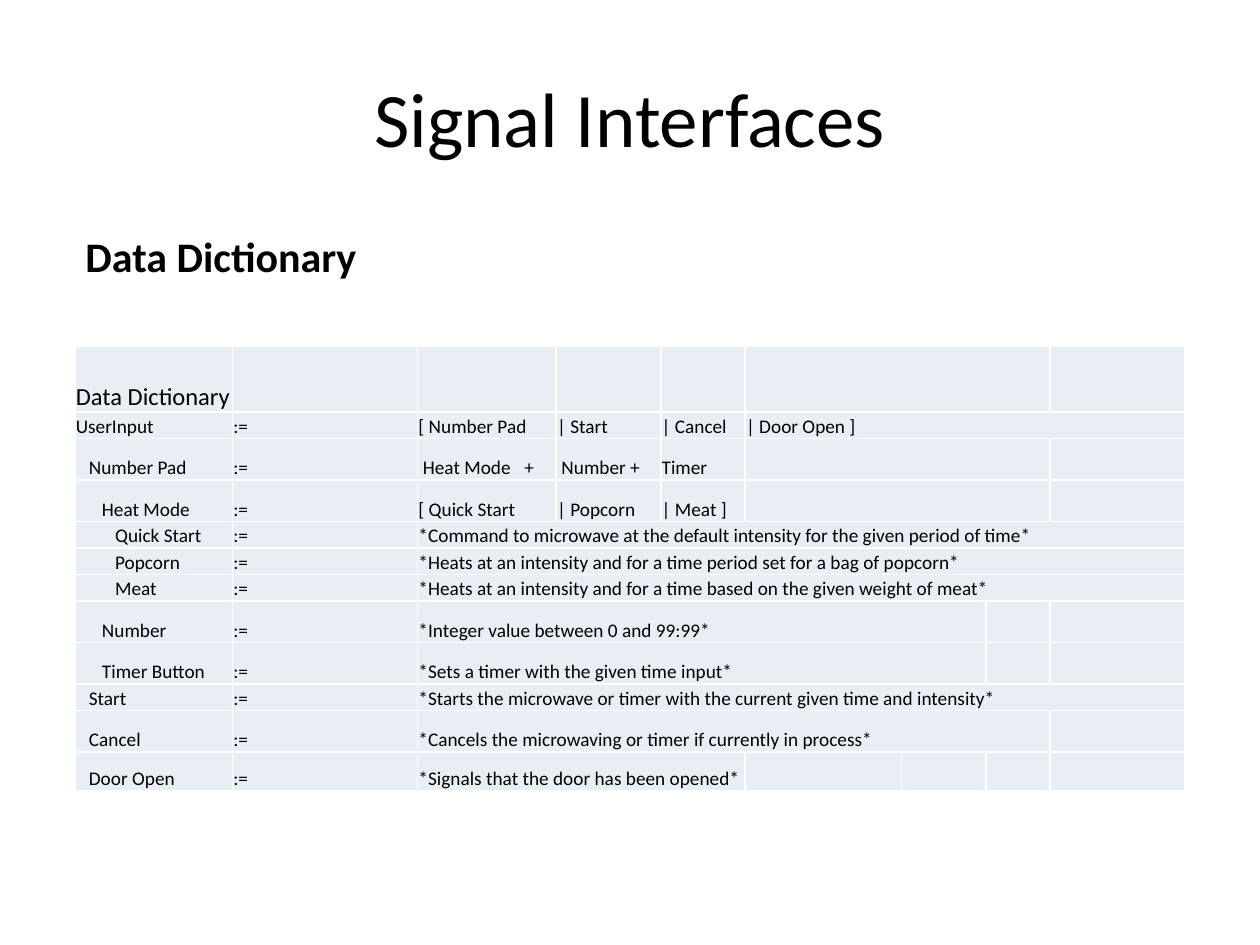
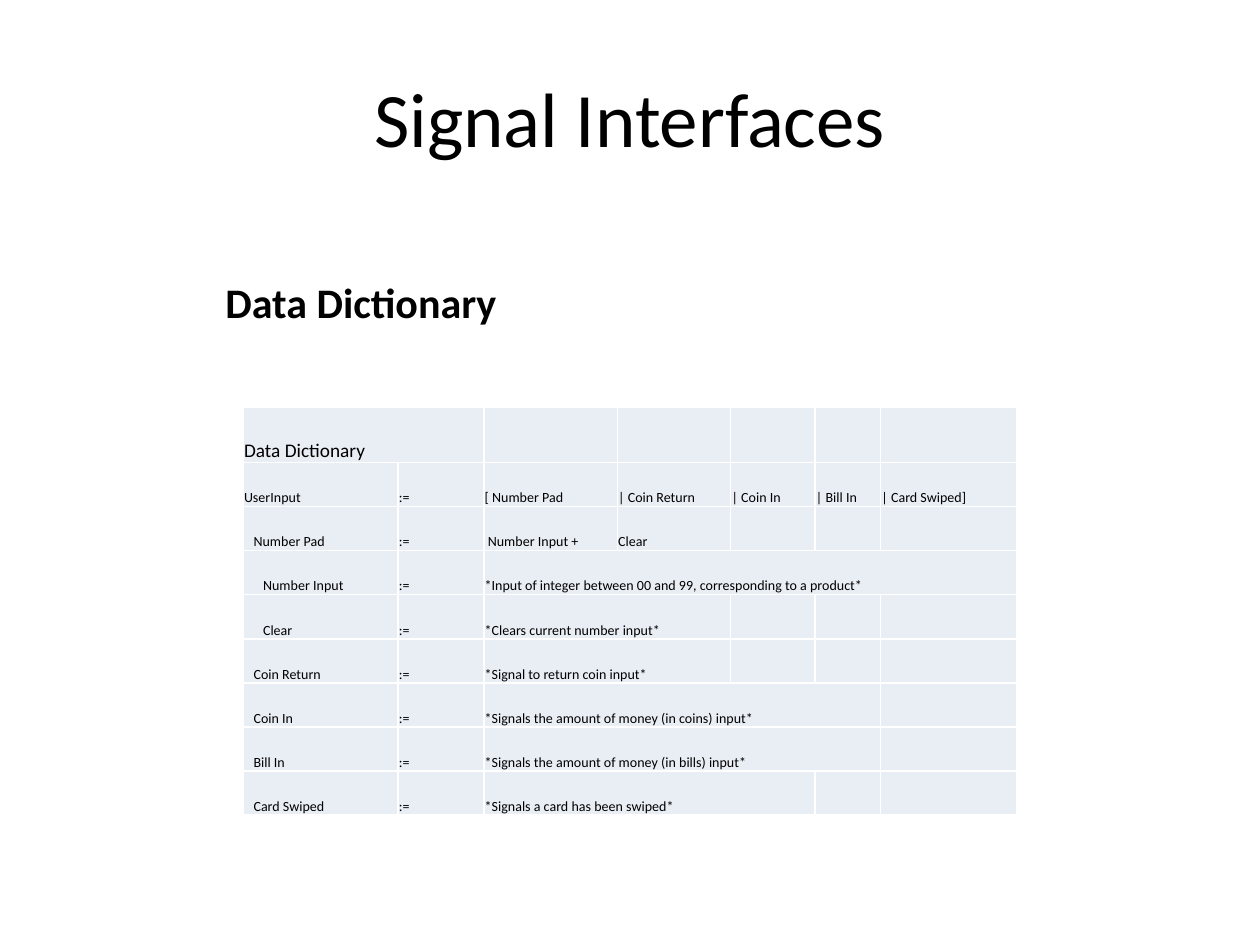
from lxml.etree import SubElement
from pptx import Presentation
from pptx.dml.color import RGBColor
from pptx.enum.text import MSO_ANCHOR, PP_ALIGN
from pptx.oxml.ns import qn
from pptx.util import Inches, Pt

WIDTH, HEIGHT = 10, 7.5
FONT = "Calibri"
INK, CELL_FILL = "000000", "E9EDF4"
CELL_INSET = Pt(0.5)
INDENT_SHARE = 0.68  # indent per level, as a share of the text size
PLUS_STOP = Inches(0.84)  # tab stop for the plus sign after a term


def set_font(paragraph, size, bold=False):
    paragraph.font.name = FONT
    paragraph.font.size = Pt(size)
    paragraph.font.bold = bold
    paragraph.font.color.rgb = RGBColor.from_string(INK)


def add_heading(page, text, place, size, anchor, align, bold=False):
    box = page.shapes.add_textbox(*[Inches(length) for length in place])
    box.text_frame.word_wrap = True
    box.text_frame.vertical_anchor = anchor
    para = box.text_frame.paragraphs[0]
    para.text = text
    para.alignment = align
    set_font(para, size, bold)


# Each row: height, indent level, name, definition parts, merged columns
microwave_rows = [
    (0.52, 0, "Data Dictionary", [], (5, 7)),
    (0.21, 0, "UserInput", ["[ Number Pad", "| Start", "| Cancel", "| Door Open ]"], (5, 8)),
    (0.33, 1, "Number Pad", [" Heat Mode\t+", " Number +", "Timer"], (5, 7)),
    (0.33, 2, "Heat Mode", ["[ Quick Start", "| Popcorn", "| Meat ]"], (5, 7)),
    (0.21, 3, "Quick Start",
     ["*Command to microwave at the default intensity for the given period of time*"], (2, 8)),
    (0.21, 3, "Popcorn",
     ["*Heats at an intensity and for a time period set for a bag of popcorn*"], (2, 8)),
    (0.21, 3, "Meat",
     ["*Heats at an intensity and for a time based on the given weight of meat*"], (2, 8)),
    (0.33, 2, "Number", ["*Integer value between 0 and 99:99*"], (2, 6)),
    (0.33, 2, "Timer Button", ["*Sets a timer with the given time input*"], (2, 6)),
    (0.21, 1, "Start",
     ["*Starts the microwave or timer with the current given time and intensity*"], (2, 8)),
    (0.33, 1, "Cancel",
     ["*Cancels the microwaving or timer if currently in process*"], (2, 7)),
    (0.2, 1, "Door Open", ["*Signals that the door has been opened*"], (2, 4)),
]
vending_rows = [
    (0.44, 0, "Data Dictionary", [], (0, 1)),
    (0.35, 0, "UserInput",
     ["[ Number Pad", "| Coin Return", "| Coin In", "| Bill In", "| Card Swiped]"], None),
    (0.35, 1, "Number Pad", [" Number Input +", "Clear"], None),
    (0.35, 2, "Number Input",
     ["*Input of integer between 00 and 99, corresponding to a product*"], (2, 6)),
    (0.35, 2, "Clear", ["*Clears current number input*"], (2, 3)),
    (0.35, 1, "Coin Return", ["*Signal to return coin input*"], (2, 3)),
    (0.35, 1, "Coin In", ["*Signals the amount of money (in coins) input*"], (2, 5)),
    (0.35, 1, "Bill In", ["*Signals the amount of money (in bills) input*"], (2, 5)),
    (0.35, 1, "Card Swiped", ["*Signals a card has been swiped*"], (2, 4)),
]

# Each slide: subheading place, table top, column widths, header and body sizes, rows
dictionaries = [
    ((0.58, 1.58, 4.42, 0.7), 2.75,
     [1.25, 1.47, 1.1, 0.83, 0.67, 1.24, 0.67, 0.51, 1.07], 14, 11, microwave_rows),
    ((1.69, 2.12, 3.32, 0.52), 3.23,
     [1.23, 0.68, 1.06, 0.9, 0.67, 0.52, 1.08], 11, 8, vending_rows),
]

deck = Presentation()
deck.slide_width, deck.slide_height = Inches(WIDTH), Inches(HEIGHT)

for subheading_place, table_top, widths, header_size, body_size, rows in dictionaries:
    page = deck.slides.add_slide(deck.slide_layouts[6])

    # Headings
    title_place = (WIDTH * 0.05, HEIGHT * 0.04, WIDTH * 0.9, HEIGHT / 6)
    add_heading(page, "Signal Interfaces", title_place, 44, MSO_ANCHOR.MIDDLE, PP_ALIGN.CENTER)
    add_heading(page, "Data Dictionary", subheading_place, 24, MSO_ANCHOR.BOTTOM,
                PP_ALIGN.LEFT, bold=True)

    # Table, centred on the slide
    table_width = sum(widths)
    table_height = sum(row[0] for row in rows)
    table = page.shapes.add_table(
        len(rows), len(widths), Inches((WIDTH - table_width) / 2), Inches(table_top),
        Inches(table_width), Inches(table_height)).table
    table.first_row = table.horz_banding = False
    for column, width in zip(table.columns, widths):
        column.width = Inches(width)

    for row_index, (height, level, name, parts, merged) in enumerate(rows):
        table.rows[row_index].height = Inches(height)
        texts = [name, ":=", *parts] if parts else [name]
        size = body_size if parts else header_size

        # Cell look
        for column_index in range(len(widths)):
            cell = table.cell(row_index, column_index)
            cell.fill.solid()
            cell.fill.fore_color.rgb = RGBColor.from_string(CELL_FILL)
            cell.vertical_anchor = MSO_ANCHOR.BOTTOM
            cell.margin_left = cell.margin_right = cell.margin_top = CELL_INSET
            cell.margin_bottom = 0

        # Cell text
        for column_index, text in enumerate(texts):
            para = table.cell(row_index, column_index).text_frame.paragraphs[0]
            para.text = text
            properties = para._p.get_or_add_pPr()
            if column_index == 0:
                properties.set("marL", str(int(Pt(level * size * INDENT_SHARE))))
            if "\t" in text:
                stops = SubElement(properties, qn("a:tabLst"))
                SubElement(stops, qn("a:tab"), pos=str(int(PLUS_STOP)), algn="l")
            set_font(para, size)

        if merged:
            first, last = merged
            table.cell(row_index, first).merge(table.cell(row_index, last))

deck.save("out.pptx")
